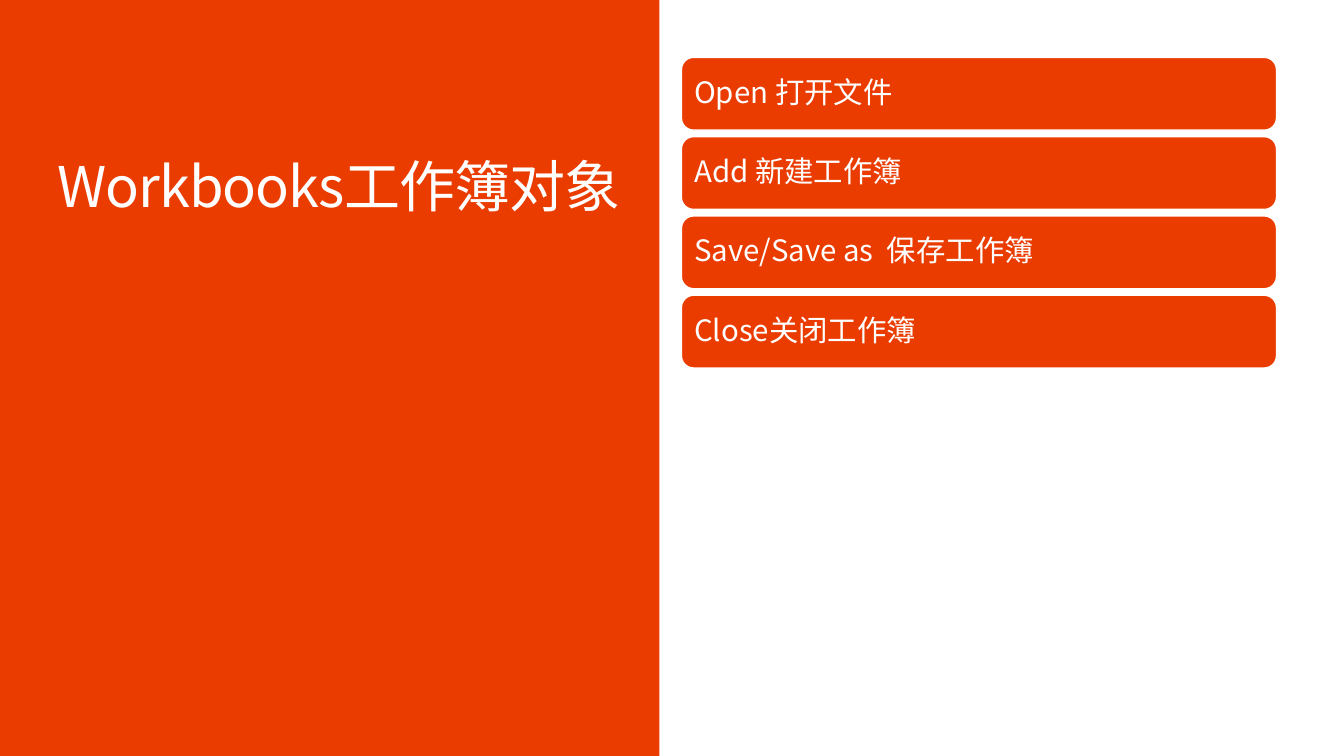
from pptx import Presentation
from pptx.dml.color import RGBColor
from pptx.enum.shapes import MSO_SHAPE
from pptx.enum.text import MSO_ANCHOR, MSO_AUTO_SIZE, PP_ALIGN
from pptx.oxml.ns import qn
from pptx.util import Inches, Pt
from lxml.etree import SubElement

FONT = "Noto Sans CJK SC"
ORANGE, WHITE = "EB3C00", "FFFFFF"
METHODS = [
    "Open 打开文件",
    "Add 新建工作簿",
    "Save/Save as  保存工作簿",
    "Close关闭工作簿",
]


def paint(color_format, hex_color):
    color_format.rgb = RGBColor.from_string(hex_color)


def fill_solid(shape, hex_color):
    shape.shadow.inherit = False
    shape.fill.solid()
    paint(shape.fill.fore_color, hex_color)


def write(frame, text, size, anchor, inset_x, inset_y):
    """Put one left-aligned white run in the frame and return it."""
    frame.word_wrap = True
    frame.auto_size = MSO_AUTO_SIZE.NONE
    frame.vertical_anchor = anchor
    frame.margin_left = frame.margin_right = Inches(inset_x)
    frame.margin_top = frame.margin_bottom = Inches(inset_y)
    paragraph = frame.paragraphs[0]
    paragraph.alignment = PP_ALIGN.LEFT
    paragraph.line_spacing = 0.9
    paragraph.space_before = Pt(0)
    run = paragraph.add_run()
    run.text = text
    run.font.size = Pt(size)
    run.font.name = FONT
    paint(run.font.color, WHITE)
    SubElement(run.font._element, qn("a:ea"), typeface=FONT)
    return run


def add_title_panel(slide, left, top, width, height):
    panel = slide.shapes.add_shape(
        MSO_SHAPE.RECTANGLE, Inches(left), Inches(top), Inches(width), Inches(height))
    fill_solid(panel, ORANGE)
    panel.line.fill.background()

    title = slide.shapes.title
    panel.element.addnext(title.element)  # bring the title in front of the panel
    title.left, title.top = Inches(left + 0.58), Inches(top + 1.58)
    title.width, title.height = Inches(width - 0.83), Inches(1.82)
    run = write(title.text_frame, "Workbooks工作簿对象", 40, MSO_ANCHOR.TOP, 0, 0)
    run.font._element.set("spc", "-70")


def add_method_list(slide, left, top, width, height):
    bar_height = 0.72
    pitch = (height - bar_height) / (len(METHODS) - 1)
    for row, method in enumerate(METHODS):
        bar = slide.shapes.add_shape(
            MSO_SHAPE.ROUNDED_RECTANGLE, Inches(left), Inches(top + row * pitch),
            Inches(width), Inches(bar_height))
        fill_solid(bar, ORANGE)
        paint(bar.line.color, WHITE)
        bar.line.width = Pt(0.85)
        write(bar.text_frame, method, 21, MSO_ANCHOR.MIDDLE, 0.09, 0.09)


def main():
    deck = Presentation()
    deck.slide_width, deck.slide_height = Inches(13.33), Inches(7.5)
    slide = deck.slides.add_slide(deck.slide_layouts[5])
    add_title_panel(slide, -0.01, 0, 6.55, 7.5)
    add_method_list(slide, 6.76, 0.57, 5.9, 3.08)
    deck.save("out.pptx")


if __name__ == "__main__":
    main()
